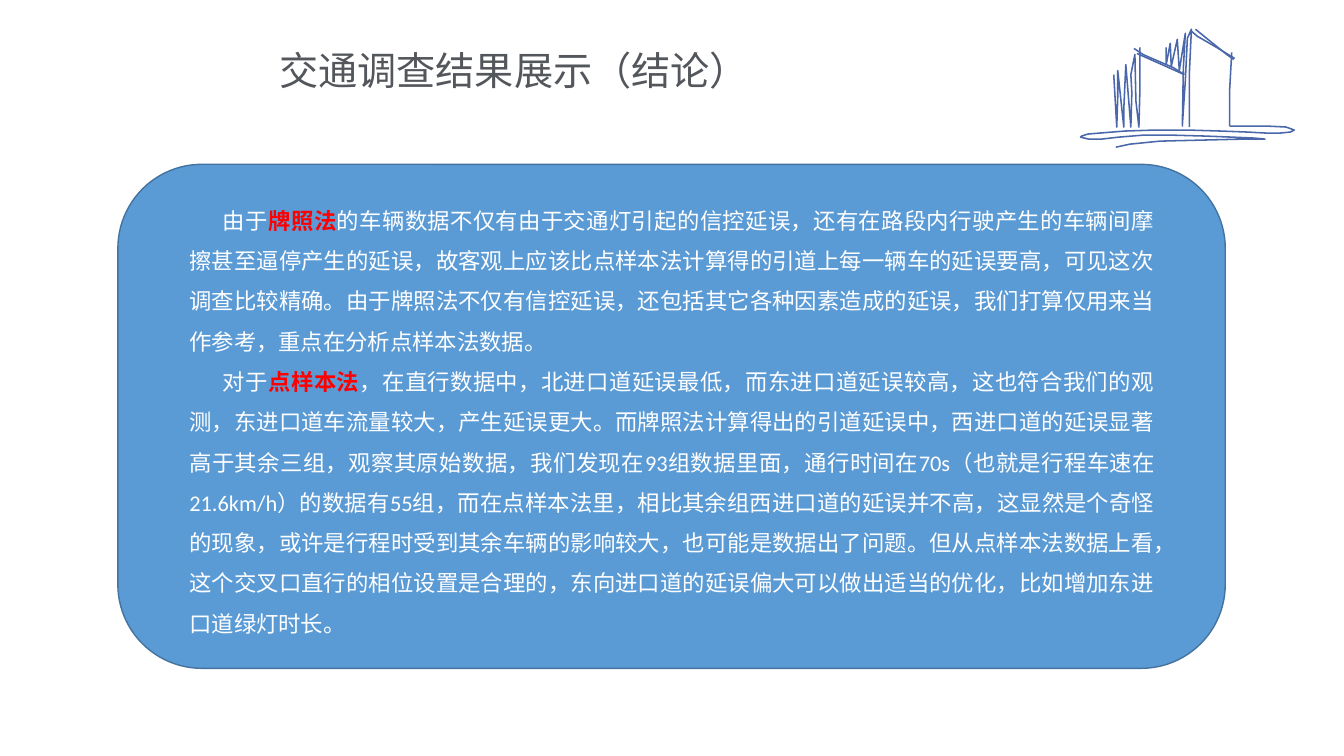
from lxml.etree import SubElement
from pptx import Presentation
from pptx.dml.color import RGBColor
from pptx.enum.shapes import MSO_SHAPE
from pptx.enum.text import MSO_AUTO_SIZE, PP_ALIGN
from pptx.oxml.ns import qn
from pptx.util import Pt

FONT = "Calibri"
SKETCH_STROKES = [
    [(34, 46), (37, 98), (38, 68), (38, 42), (44, 98), (44, 80), (46, 36),
     (51, 98), (52, 64), (51, 46), (55, 26), (56, 72), (59, 98), (60, 60), (60, 19)],
    [(86, 19), (86, 36), (90, 15), (91, 38), (97, 11), (99, 42), (105, 5),
     (103, 40), (102, 97), (105, 52), (107, 10), (111, 1), (109, 44), (109, 98)],
    [(115, 1), (131, 14), (146, 26), (153, 31)],
    [(110, 2), (117, 8), (136, 19), (154, 30)],
    [(151, 24), (149, 60), (149, 97)],
    [(54, 20), (63, 26), (72, 30), (93, 39), (104, 46)],
    [(57, 25), (84, 37), (104, 46)],
    [(149, 97), (185, 97), (205, 98), (213, 101), (209, 103), (199, 104),
     (185, 104), (167, 103), (140, 102), (107, 101), (75, 101), (45, 102),
     (20, 104), (8, 105), (2, 107), (1, 108), (9, 110), (22, 110), (39, 108),
     (64, 106), (90, 106), (125, 107), (151, 108), (174, 109), (184, 110),
     (163, 110), (120, 111), (80, 112), (50, 115), (36, 118)],
]
FINDINGS = [
    [("由于", False), ("牌照法", True),
     ("的车辆数据不仅有由于交通灯引起的信控延误，还有在路段内行驶产生的车辆间摩擦甚至逼停产生的延误，"
      "故客观上应该比点样本法计算得的引道上每一辆车的延误要高，可见这次调查比较精确。"
      "由于牌照法不仅有信控延误，还包括其它各种因素造成的延误，我们打算仅用来当作参考，"
      "重点在分析点样本法数据。", False)],
    [("对于", False), ("点样本法", True),
     ("，在直行数据中，北进口道延误最低，而东进口道延误较高，这也符合我们的观测，"
      "东进口道车流量较大，产生延误更大。而牌照法计算得出的引道延误中，"
      "西进口道的延误显著高于其余三组，观察其原始数据，我们发现在93组数据里面，"
      "通行时间在70s（也就是行程车速在21.6km/h）的数据有55组，而在点样本法里，"
      "相比其余组西进口道的延误并不高，这显然是个奇怪的现象，"
      "或许是行程时受到其余车辆的影响较大，也可能是数据出了问题。"
      "但从点样本法数据上看，这个交叉口直行的相位设置是合理的，"
      "东向进口道的延误偏大可以做出适当的优化，比如增加东进口道绿灯时长。", False)],
]


def color(hex_string):
    return RGBColor.from_string(hex_string)


def add_text_frame(slide, left, top, width, height):
    text_box = slide.shapes.add_textbox(Pt(left), Pt(top), Pt(width), Pt(height))
    text_frame = text_box.text_frame
    text_frame.word_wrap = True
    text_frame.auto_size = MSO_AUTO_SIZE.SHAPE_TO_FIT_TEXT
    return text_frame


def add_run(paragraph, text, size):
    run = paragraph.add_run()
    run.text = text
    run.font.name = FONT
    run.font.size = Pt(size)
    return run


def add_title(slide, left, top, width, height):
    paragraph = add_text_frame(slide, left, top, width, height).paragraphs[0]
    paragraph.alignment = PP_ALIGN.CENTER
    fill = add_run(paragraph, "交通调查结果展示（结论）", 28).font.fill
    fill.gradient()
    fill.gradient_angle = 270
    for stop, (position, shade) in zip(fill.gradient_stops, [(0.21, "53575C"), (0.88, "C5C7CA")]):
        stop.position = position
        stop.color.rgb = color(shade)


def add_building_sketch(slide, left, top, unit):
    for stroke in SKETCH_STROKES:
        builder = slide.shapes.build_freeform(*stroke[0], scale=Pt(unit))
        builder.add_line_segments(stroke[1:], close=False)
        shape = builder.convert_to_shape(Pt(left), Pt(top))
        shape.shadow.inherit = False
        shape.fill.background()
        shape.line.color.rgb = color("4A67AA")
        shape.line.width = Pt(1.1)
        SubElement(shape.line._get_or_add_ln(), qn("a:round"))


def add_conclusion_panel(slide, left, top, width, height):
    panel = slide.shapes.add_shape(
        MSO_SHAPE.ROUNDED_RECTANGLE, Pt(left), Pt(top), Pt(width), Pt(height))
    panel.shadow.inherit = False
    panel.fill.solid()
    panel.fill.fore_color.rgb = color("5B9BD5")
    panel.line.color.rgb = color("43739E")
    panel.line.width = Pt(1)

    text_frame = add_text_frame(slide, left + 44, top + 17.3, width - 87, height - 18)
    for index, finding in enumerate(FINDINGS):
        paragraph = text_frame.add_paragraph() if index else text_frame.paragraphs[0]
        paragraph.alignment = PP_ALIGN.JUSTIFY
        paragraph.line_spacing = 1.5
        paragraph._p.get_or_add_pPr().set("indent", str(Pt(24)))
        for text, is_method in finding:
            run = add_run(paragraph, text, 16)
            run.font.bold = is_method
            run.font.color.rgb = color("FF0000" if is_method else "FFFFFF")


def main():
    presentation = Presentation()
    presentation.slide_width = Pt(960)
    presentation.slide_height = Pt(540)
    slide = presentation.slides.add_slide(presentation.slide_layouts[6])
    add_conclusion_panel(slide, 84.2, 117.4, 791, 360)
    add_title(slide, 93.6, 29.5, 547.2, 41)
    add_building_sketch(slide, 771.1, 20.2, 0.72)
    presentation.save("out.pptx")


if __name__ == "__main__":
    main()
